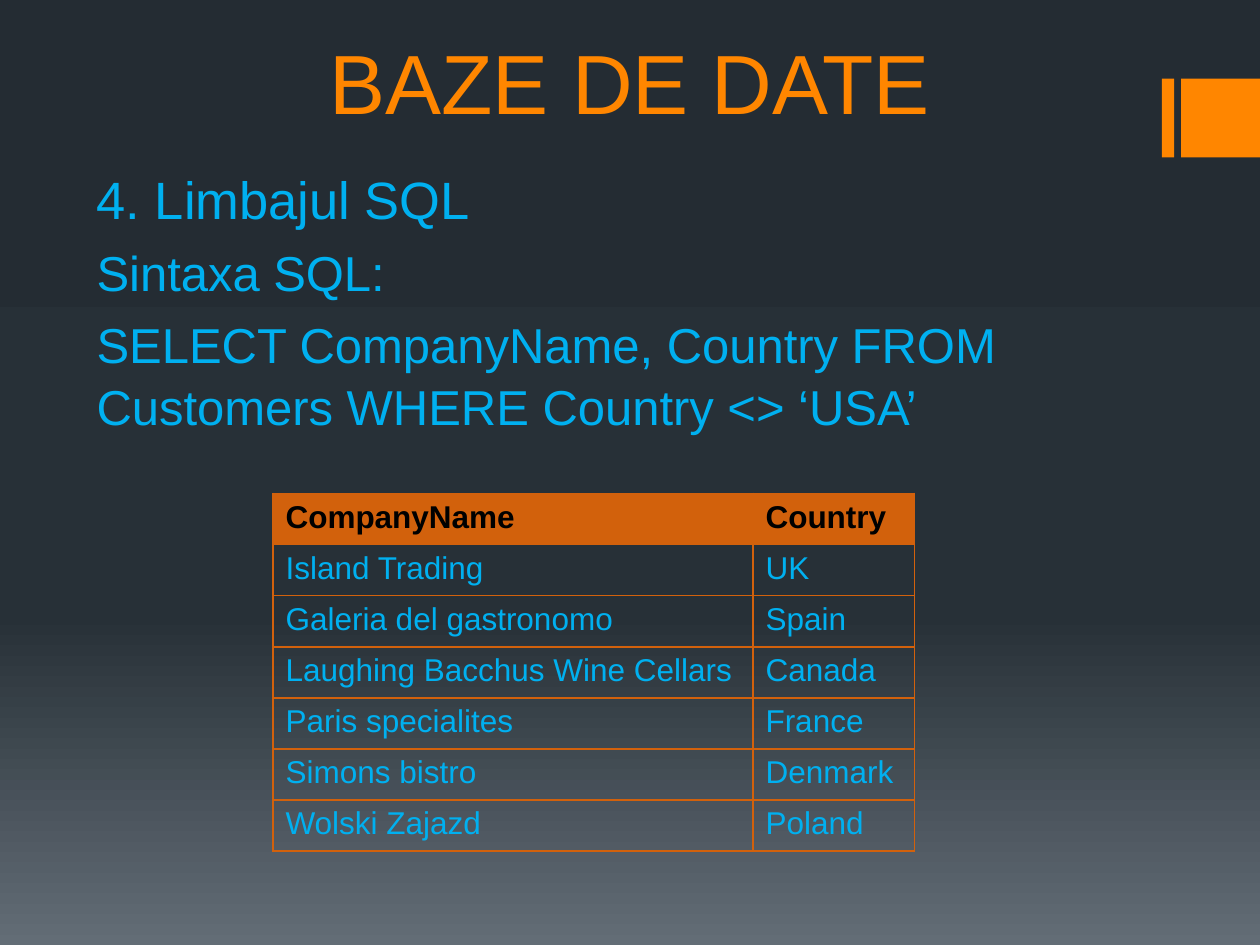
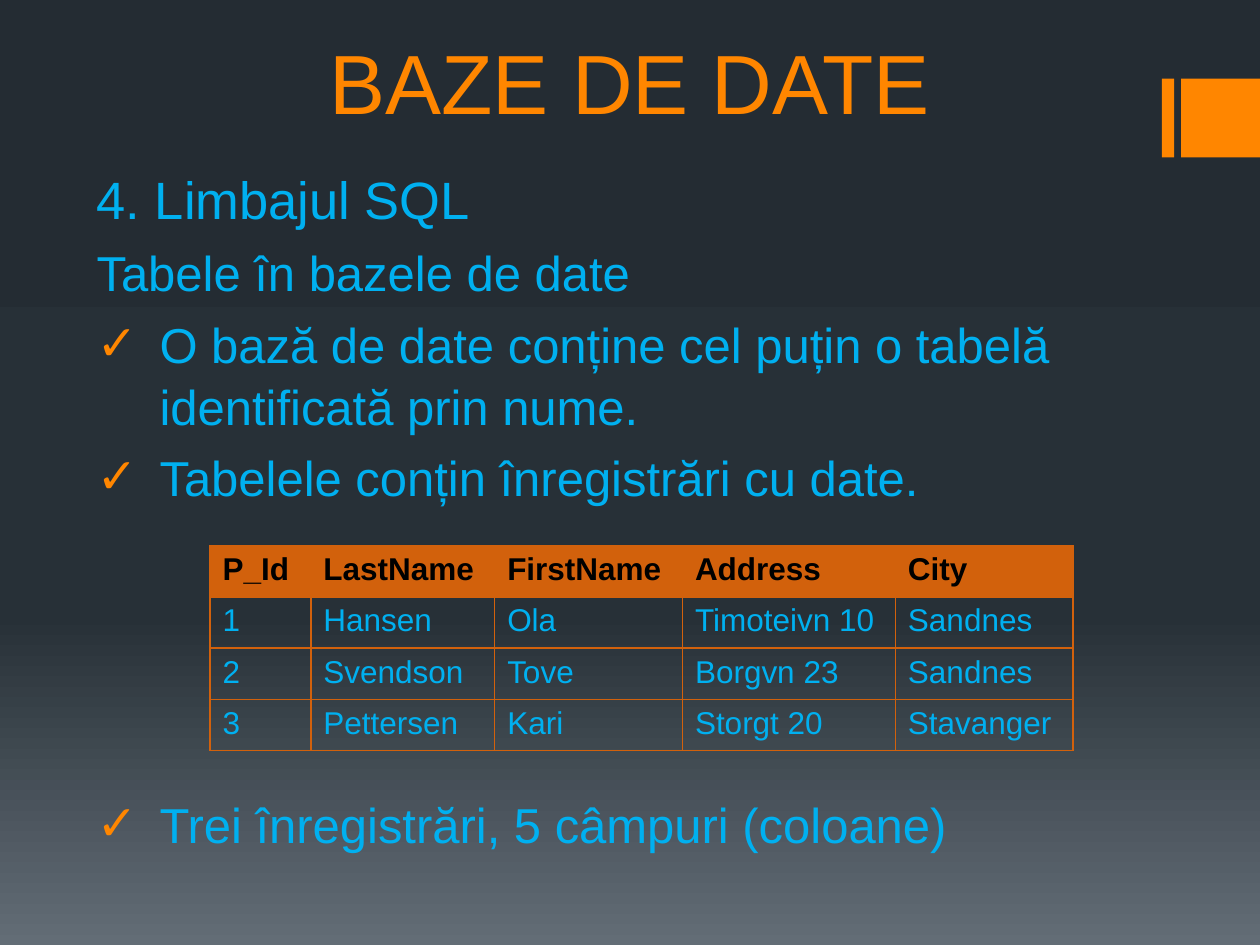
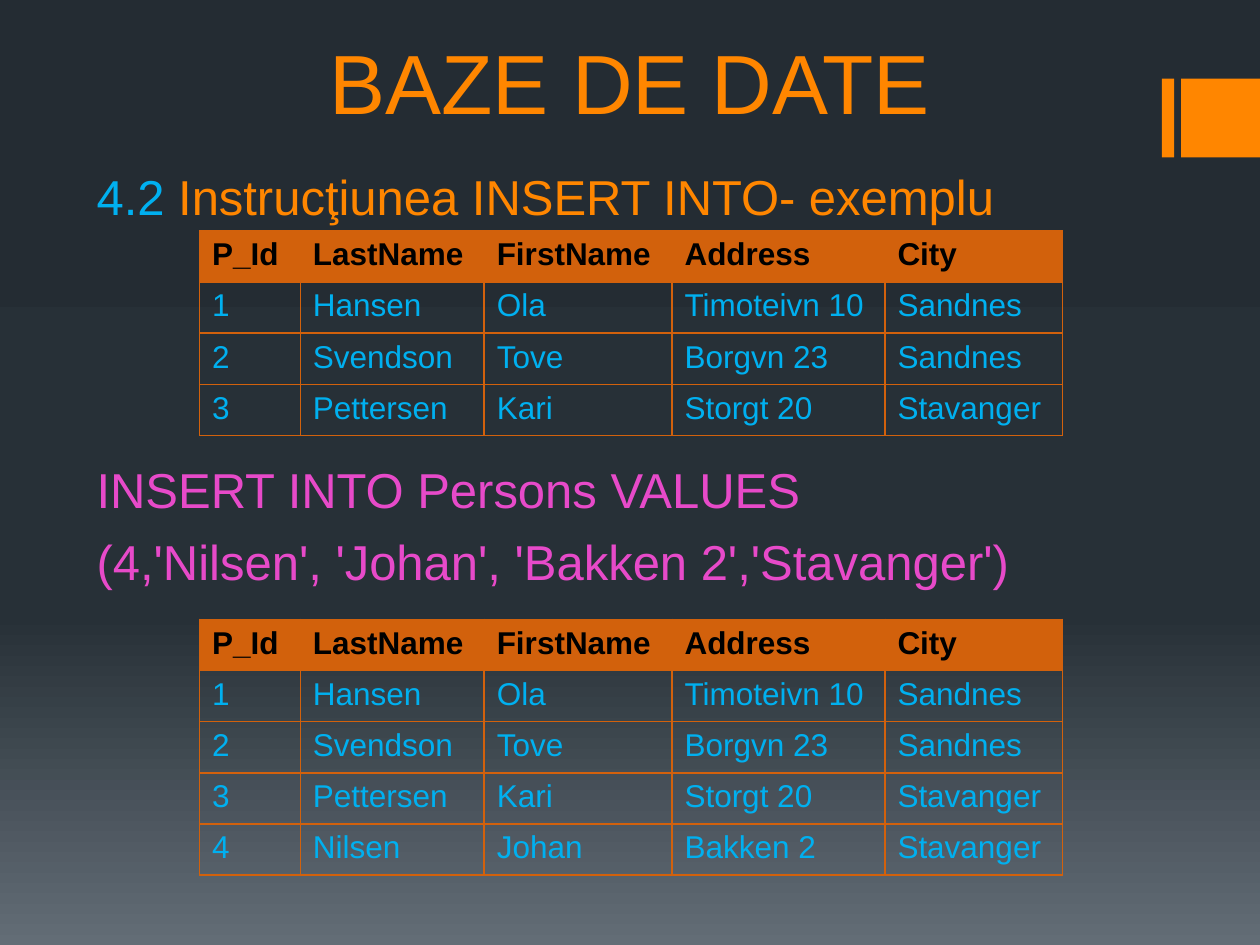
from copy import deepcopy
from dataclasses import dataclass

from lxml import etree
from pptx import Presentation
from pptx.dml import color as dml
from pptx.enum import shapes, text
from pptx.oxml import ns
from pptx.util import Pt


@dataclass(frozen=True)
class Theme:
    font: str = "Arial"
    accent: str = "FF8600"
    body: str = "00B0F0"
    code: str = "E74AC9"
    grid: str = "D2610C"
    header: str = "000000"
    backdrop: tuple = ((0, "242C33"), (0.65, "273037"), (1, "636D76"))
    title_size: float = 48
    heading_size: float = 30
    body_size: float = 28
    table_size: float = 18
    line_spacing: float = 1.05
    paragraph_gap: float = 5.6
    bullet_indent: float = 36
    row_height: float = 29.2
    border: float = 1


@dataclass
class Line:
    wordings: tuple  # (wording, colour) pairs
    size: float
    before: float
    bullet: bool = False


THEME = Theme()


def line(wording, color=THEME.body, size=THEME.body_size,
         before=THEME.paragraph_gap, bullet=False):
    return Line(((wording, color),), size, before, bullet)


class Deck:
    def __init__(self, theme):
        self.theme = theme
        self.prs = Presentation()
        self.prs.slide_width, self.prs.slide_height = Pt(720), Pt(540)
        self.slide = None
        self.paint_backdrop()

    def paint_backdrop(self):
        fill = self.prs.slide_master.background.fill
        fill.gradient()
        fill.gradient_angle = 270
        last = fill.gradient_stops[-1]._gs
        last.addnext(deepcopy(last))
        for stop, (position, color) in zip(fill.gradient_stops, self.theme.backdrop):
            stop.position = position
            stop.color.rgb = dml.RGBColor.from_string(color)

    def style(self, font, size, color, bold=False):
        font.name, font.size, font.bold = self.theme.font, Pt(size), bold
        font.color.rgb = dml.RGBColor.from_string(color)

    def place(self, shape, left, top, width, height):
        shape.left, shape.top = Pt(left), Pt(top)
        shape.width, shape.height = Pt(width), Pt(height)

    def new_slide(self, title):
        self.slide = self.prs.slides.add_slide(self.prs.slide_layouts[0])
        self.band(664, 7)
        self.band(675, 45)
        self.title(title)

    def band(self, left, width):
        band = self.slide.shapes.add_shape(
            shapes.MSO_SHAPE.RECTANGLE, Pt(left), Pt(45), Pt(width), Pt(45))
        band.shadow.inherit = False
        band.fill.solid()
        band.fill.fore_color.rgb = dml.RGBColor.from_string(self.theme.accent)
        band.line.fill.background()

    def title(self, wording):
        title = self.slide.shapes.title
        self.place(title, 54, 0, 612, 78.5)
        frame = title.text_frame
        frame.text = wording
        frame.auto_size = text.MSO_AUTO_SIZE.NONE
        frame.vertical_anchor = text.MSO_ANCHOR.BOTTOM
        frame.paragraphs[0].alignment = text.PP_ALIGN.CENTER
        self.style(frame.paragraphs[0].runs[0].font, self.theme.title_size, self.theme.accent)

    def body(self, lines):
        body = self.slide.placeholders[1]
        self.place(body, 48, 90, 624, 402)
        frame = body.text_frame
        frame.auto_size = text.MSO_AUTO_SIZE.NONE
        frame.vertical_anchor = text.MSO_ANCHOR.TOP
        for index, item in enumerate(lines):
            paragraph = frame.add_paragraph() if index else frame.paragraphs[0]
            if item.bullet:
                self.bullet(paragraph)
            paragraph.alignment = text.PP_ALIGN.LEFT
            paragraph.line_spacing = self.theme.line_spacing
            paragraph.space_before = Pt(item.before if index else 0)
            for wording, color in item.wordings:
                run = paragraph.add_run()
                run.text = wording
                self.style(run.font, item.size, color)

    def bullet(self, paragraph):
        props = paragraph._p.get_or_add_pPr()
        indent = Pt(self.theme.bullet_indent)
        props.set("marL", str(indent))
        props.set("indent", str(-indent))
        tint = etree.SubElement(props, ns.qn("a:buClr"))
        etree.SubElement(tint, ns.qn("a:srgbClr"), val=self.theme.accent)
        etree.SubElement(props, ns.qn("a:buChar"), char="✓")

    def table(self, left, top, widths, rows):
        theme = self.theme
        table = self.slide.shapes.add_table(
            len(rows), len(widths), Pt(left), Pt(top),
            Pt(sum(widths)), Pt(theme.row_height * len(rows))).table
        table.horz_banding = False
        for column, width in zip(table.columns, widths):
            column.width = Pt(width)
        for r, values in enumerate(rows):
            table.rows[r].height = Pt(theme.row_height)
            for c, value in enumerate(values):
                self.cell(table.cell(r, c), value, is_header=r == 0)

    def cell(self, cell, value, is_header):
        theme = self.theme
        cell.text_frame.text = value
        self.style(cell.text_frame.paragraphs[0].runs[0].font, theme.table_size,
                   theme.header if is_header else theme.body, is_header)
        props = cell._tc.get_or_add_tcPr()
        for side in ("a:lnL", "a:lnR", "a:lnT", "a:lnB"):
            edge = etree.SubElement(props, ns.qn(side), w=str(Pt(theme.border)))
            paint = etree.SubElement(edge, ns.qn("a:solidFill"))
            etree.SubElement(paint, ns.qn("a:srgbClr"), val=theme.grid)
        if is_header:
            cell.fill.solid()
            cell.fill.fore_color.rgb = dml.RGBColor.from_string(theme.grid)
        else:
            cell.fill.background()


# Content shared by several slides
COURSE = "BAZE DE DATE"
CHAPTER = line("4. Limbajul SQL", size=THEME.heading_size)
PERSON_WIDTHS = (57.6, 105.1, 107.3, 121.7, 101.5)
PERSONS = [
    ("P_Id", "LastName", "FirstName", "Address", "City"),
    ("1", "Hansen", "Ola", "Timoteivn 10", "Sandnes"),
    ("2", "Svendson", "Tove", "Borgvn 23", "Sandnes"),
    ("3", "Pettersen", "Kari", "Storgt 20", "Stavanger"),
]
NEW_PERSON = ("4", "Nilsen", "Johan", "Bakken 2", "Stavanger")
CUSTOMERS = [
    ("CompanyName", "Country"),
    ("Island Trading", "UK"),
    ("Galeria del gastronomo", "Spain"),
    ("Laughing Bacchus Wine Cellars", "Canada"),
    ("Paris specialites", "France"),
    ("Simons bistro", "Denmark"),
    ("Wolski Zajazd", "Poland"),
]


def main():
    deck = Deck(THEME)

    # SELECT syntax and its result
    deck.new_slide(COURSE)
    deck.body([
        CHAPTER,
        line("Sintaxa SQL:"),
        line("SELECT CompanyName, Country FROM Customers WHERE Country <> ‘USA’"),
    ])
    deck.table(156, 282, (274.3, 92.2), CUSTOMERS)

    # Tables in a database
    deck.new_slide(COURSE)
    deck.body([
        CHAPTER,
        line("Tabele în bazele de date"),
        line("O bază de date conține cel puțin o tabelă identificată prin nume.", bullet=True),
        line("Tabelele conțin înregistrări cu date.", bullet=True),
        line("Trei înregistrări, 5 câmpuri (coloane)", before=163, bullet=True),
    ])
    deck.table(120, 312, PERSON_WIDTHS, PERSONS)

    # INSERT INTO, before and after
    deck.new_slide(COURSE)
    deck.body([
        Line((("4.2 ", THEME.body),
              ("Instrucţiunea INSERT INTO- exemplu", THEME.accent)), THEME.body_size, 0),
        line("INSERT INTO Persons VALUES", THEME.code, before=132),
        line("(4,'Nilsen', 'Johan', 'Bakken 2','Stavanger')", THEME.code),
    ])
    deck.table(114, 132, PERSON_WIDTHS, PERSONS)
    deck.table(114, 354, PERSON_WIDTHS, PERSONS + [NEW_PERSON])

    deck.prs.save("out.pptx")


if __name__ == "__main__":
    main()
